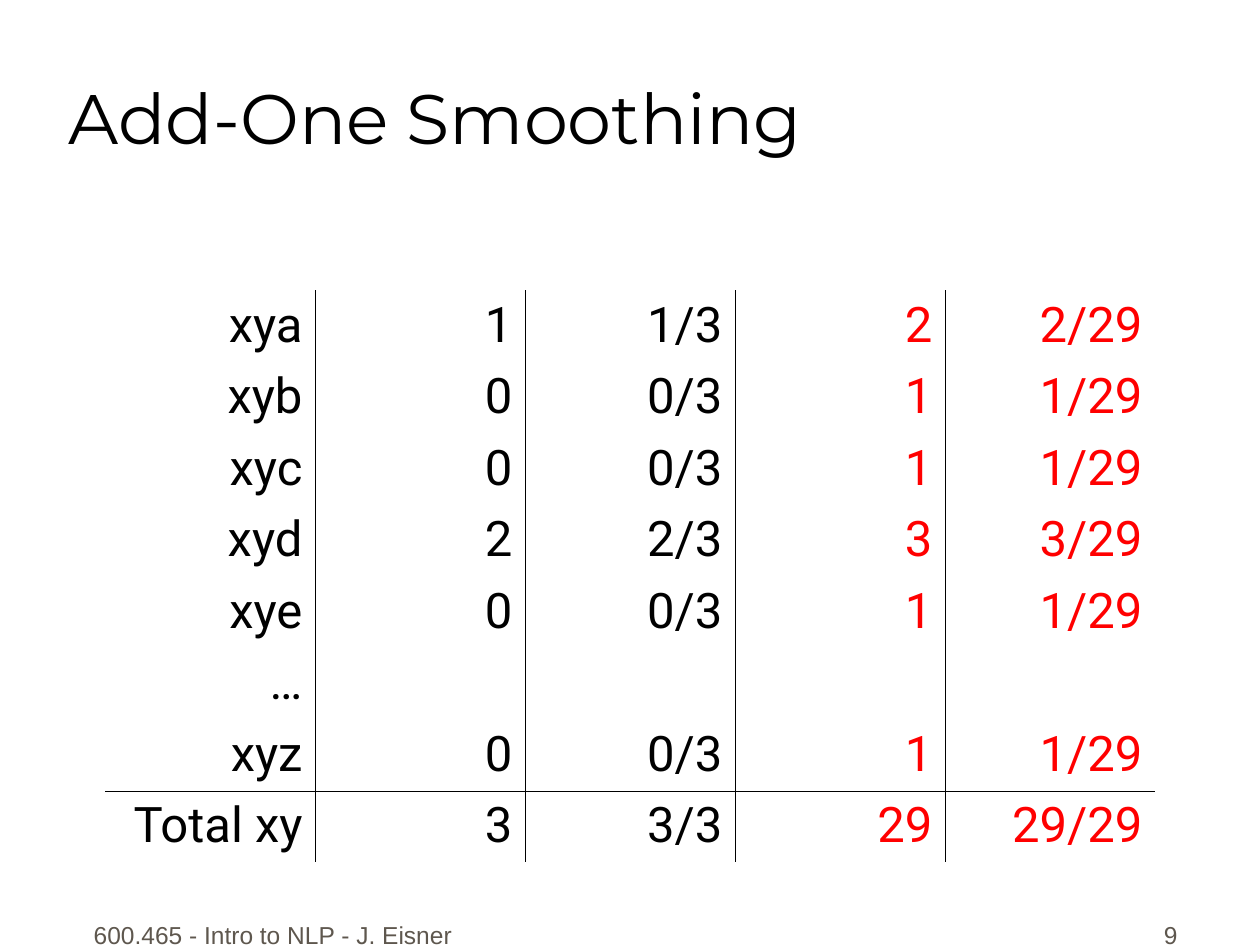
from dataclasses import dataclass

from lxml import etree
from pptx import Presentation, util as u
from pptx.dml.color import RGBColor
from pptx.enum import text
from pptx.oxml import ns


@dataclass(frozen=True)
class Theme:
    ink: str = "000000"
    accent: str = "FF0000"
    muted: str = "5E574E"
    title_font: str = "Montserrat"
    table_font: str = "Roboto"
    footer_font: str = "Arial"
    title_size: float = 40
    table_size: float = 28
    footer_size: float = 14
    rule_width: float = 0.45


TITLE = "Add-One Smoothing"
FOOTER = "600.465 - Intro to NLP - J. Eisner"
PAGE_NUMBER = "9"
COUNTS = [
    ("xya", "1", "1/3", "2", "2/29"),
    ("xyb", "0", "0/3", "1", "1/29"),
    ("xyc", "0", "0/3", "1", "1/29"),
    ("xyd", "2", "2/3", "3", "3/29"),
    ("xye", "0", "0/3", "1", "1/29"),
    ("…", "", "", "", ""),
    ("xyz", "0", "0/3", "1", "1/29"),
    ("Total xy", "3", "3/3", "29", "29/29"),
]
FIRST_SMOOTHED_COLUMN = 3


class SlideBuilder:
    def __init__(self, slide, theme):
        self.slide = slide
        self.theme = theme

    def set_text(self, frame, words, font, size, color, align, space_before=0):
        paragraph = frame.paragraphs[0]
        paragraph.text = words
        paragraph.alignment = align
        paragraph.space_before = u.Pt(space_before)
        paragraph.font.name = font
        paragraph.font.size = u.Pt(size)
        paragraph.font.color.rgb = RGBColor.from_string(color)

    def title(self, words, left, top, width, height):
        box = self.slide.shapes.title
        box.left, box.top, box.width, box.height = map(u.Pt, (left, top, width, height))
        box.text_frame.vertical_anchor = text.MSO_ANCHOR.BOTTOM
        self.set_text(box.text_frame, words, self.theme.title_font, self.theme.title_size,
                      self.theme.ink, text.PP_ALIGN.LEFT)

    def footer(self, words, left, top, width, height, align):
        box = self.slide.shapes.add_textbox(*map(u.Pt, (left, top, width, height)))
        box.text_frame.word_wrap = True
        box.text_frame.vertical_anchor = text.MSO_ANCHOR.BOTTOM
        self.set_text(box.text_frame, words, self.theme.footer_font, self.theme.footer_size,
                      self.theme.muted, align, space_before=8.8)

    def table(self, rows, left, top, width, height):
        """Draw a grid ruled between columns and above the last row."""
        row_count, column_count = len(rows), len(rows[0])
        table = self.slide.shapes.add_table(
            row_count, column_count, *map(u.Pt, (left, top, width, height))).table
        table.first_row = table.horz_banding = False
        for r, row in enumerate(rows):
            for c, words in enumerate(row):
                cell = table.cell(r, c)
                smoothed = c >= FIRST_SMOOTHED_COLUMN
                self.set_text(cell.text_frame, words, self.theme.table_font,
                              self.theme.table_size,
                              self.theme.accent if smoothed else self.theme.ink,
                              text.PP_ALIGN.RIGHT, space_before=7)
                cell.fill.background()
                self.borders(cell, {
                    "lnL": c > 0,
                    "lnR": c < column_count - 1,
                    "lnT": r == row_count - 1,
                    "lnB": r == row_count - 2,
                })

    def borders(self, cell, sides):
        """Rule the sides marked True and clear the others."""
        properties = cell._tc.get_or_add_tcPr()
        for position, (side, ruled) in enumerate(sides.items()):
            line = etree.Element(ns.qn(f"a:{side}"), w=str(u.Pt(self.theme.rule_width)))
            if ruled:
                fill = etree.SubElement(line, ns.qn("a:solidFill"))
                etree.SubElement(fill, ns.qn("a:srgbClr"), val=self.theme.ink)
            else:
                etree.SubElement(line, ns.qn("a:noFill"))
            properties.insert(position, line)


def main():
    deck = Presentation()
    deck.slide_width, deck.slide_height = u.Pt(720), u.Pt(540)
    title_only = deck.slide_layouts[5]
    page = SlideBuilder(deck.slides.add_slide(title_only), Theme())
    page.footer(FOOTER, 42, 510, 228, 36, text.PP_ALIGN.CENTER)
    page.footer(PAGE_NUMBER, 530, 510, 150, 36, text.PP_ALIGN.RIGHT)
    page.title(TITLE, 32, 4, 612, 90)
    page.table(COUNTS, 60, 166, 600, 326.4)
    deck.save("out.pptx")


if __name__ == "__main__":
    main()
